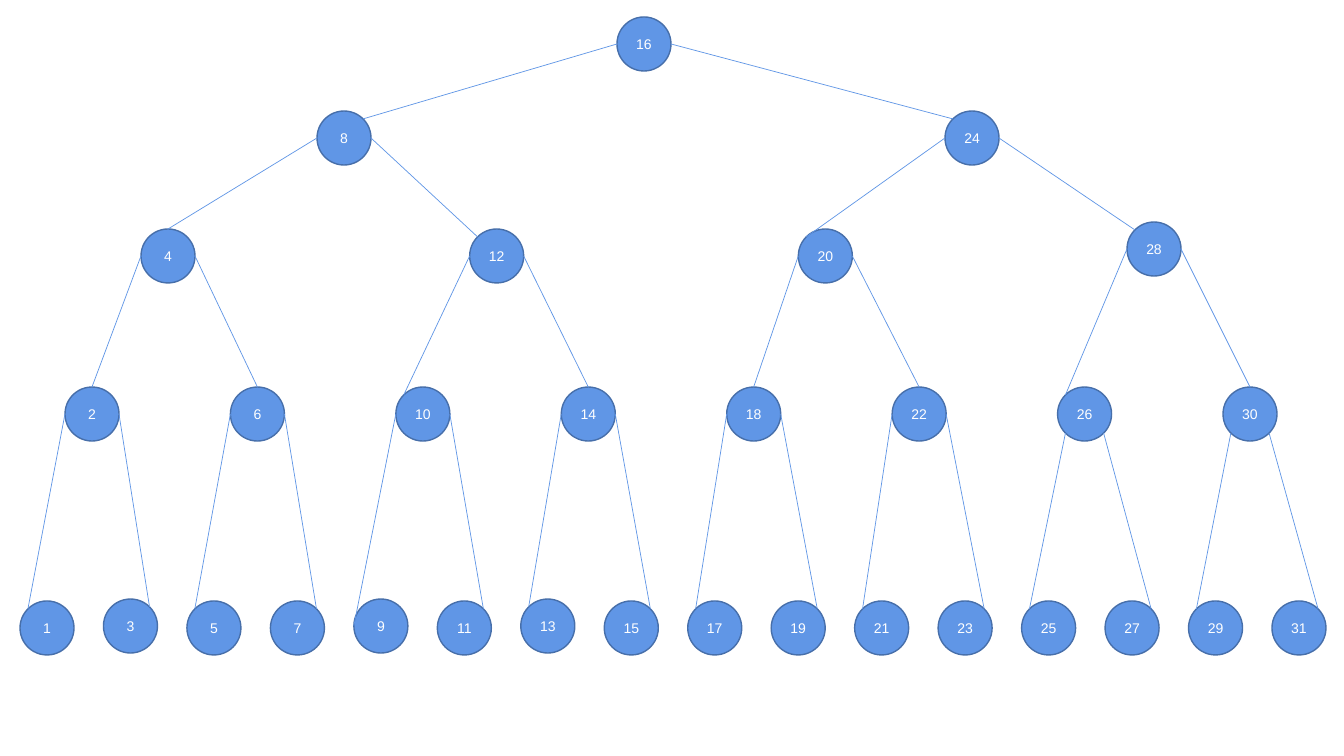
from lxml import etree
from pptx import Presentation
from pptx.dml.color import RGBColor
from pptx.enum.shapes import MSO_CONNECTOR, MSO_SHAPE
from pptx.enum.text import MSO_ANCHOR, PP_ALIGN
from pptx.oxml.ns import qn
from pptx.util import Pt

ELLIPSE, STRAIGHT = MSO_SHAPE.OVAL, MSO_CONNECTOR.STRAIGHT
MIDDLE, CENTER = MSO_ANCHOR.MIDDLE, PP_ALIGN.CENTER

# Binary search tree of 1 to 31, by level: first left, last left, top
LEVELS = [(617, 617, 17), (317, 945, 111), (141, 1127, 229), (65, 1223, 387), (20, 1272, 601)]
ROOT_VALUE = 16
SHIFTED_TOPS = {28: 222, 3: 599, 9: 599, 13: 599}

# Where an edge enters its child, when not the usual site
ENTRY_SITES = {8: "top right", 9: "left",
               **dict.fromkeys((10, 12, 20, 24, 26, 28), "top left")}
LOW_EXIT_PARENTS = (26, 30)

THEME = {
    "node": RGBColor(0x60, 0x96, 0xE6), "outline": RGBColor(0x47, 0x6F, 0xAA),
    "label": RGBColor(0xFF, 0xFF, 0xFF), "font": "Arial", "size": Pt(10),
    "outline_width": Pt(1), "edge_width": Pt(0.5),
}

# Geometry in pixels
PIXEL = 914400 / 100.8
DIAMETER = 54
RADIUS = DIAMETER / 2
DIAGONAL = RADIUS * 0.5 ** 0.5
SITES = {
    "top": (0, -RADIUS), "left": (-RADIUS, 0), "right": (RADIUS, 0),
    "top left": (-DIAGONAL, -DIAGONAL), "top right": (DIAGONAL, -DIAGONAL),
    "bottom left": (-DIAGONAL, DIAGONAL), "bottom right": (DIAGONAL, DIAGONAL),
}


def emu(pixels):
    return round(pixels * PIXEL)


def add_node(slide, value, left, top):
    node = slide.shapes.add_shape(ELLIPSE, emu(left), emu(top), emu(DIAMETER), emu(DIAMETER))
    node.shadow.inherit = False
    node.fill.solid()
    node.fill.fore_color.rgb = THEME["node"]
    node.line.color.rgb = THEME["outline"]
    node.line.width = THEME["outline_width"]
    frame = node.text_frame
    frame.margin_left = frame.margin_right = frame.margin_top = frame.margin_bottom = 0
    frame.vertical_anchor = MIDDLE
    frame.text = str(value)
    paragraph = frame.paragraphs[0]
    paragraph.alignment = CENTER
    font = paragraph.runs[0].font
    font.name, font.size = THEME["font"], THEME["size"]
    font.color.rgb = THEME["label"]


def site_point(center, site):
    return [emu(middle + offset) for middle, offset in zip(center, SITES[site])]


def add_edge(slide, parent_center, exit_site, child_center, entry_site):
    edge = slide.shapes.add_connector(
        STRAIGHT, *site_point(parent_center, exit_site), *site_point(child_center, entry_site))
    edge.line.color.rgb = THEME["node"]
    edge.line.width = THEME["edge_width"]
    etree.SubElement(edge._element.spPr, qn("a:effectLst"))


presentation = Presentation()
presentation.slide_width, presentation.slide_height = emu(1344), emu(756)
slide = presentation.slides.add_slide(presentation.slide_layouts[6])

# Nodes, evenly spaced on each level; each child differs from its parent by step
centers, edges = {}, []
for depth, (first, last, level_top) in enumerate(LEVELS):
    step = ROOT_VALUE >> depth
    count = 2 ** depth
    gap = (last - first) / max(count - 1, 1)
    for index in range(count):
        value = step * (2 * index + 1)
        left = first + index * gap
        top = SHIFTED_TOPS.get(value, level_top)
        add_node(slide, value, left, top)
        centers[value] = (left + RADIUS, top + RADIUS)
        if depth:
            side = "right" if index % 2 else "left"
            parent = value - step if index % 2 else value + step
            usual_entry = f"top {side}" if step == 1 else "top"
            exit_site = f"bottom {side}" if parent in LOW_EXIT_PARENTS else side
            edges.append((parent, exit_site, value, ENTRY_SITES.get(value, usual_entry)))

# Edges from parent to child
for parent, exit_site, child, entry_site in edges:
    add_edge(slide, centers[parent], exit_site, centers[child], entry_site)

presentation.save("out.pptx")
